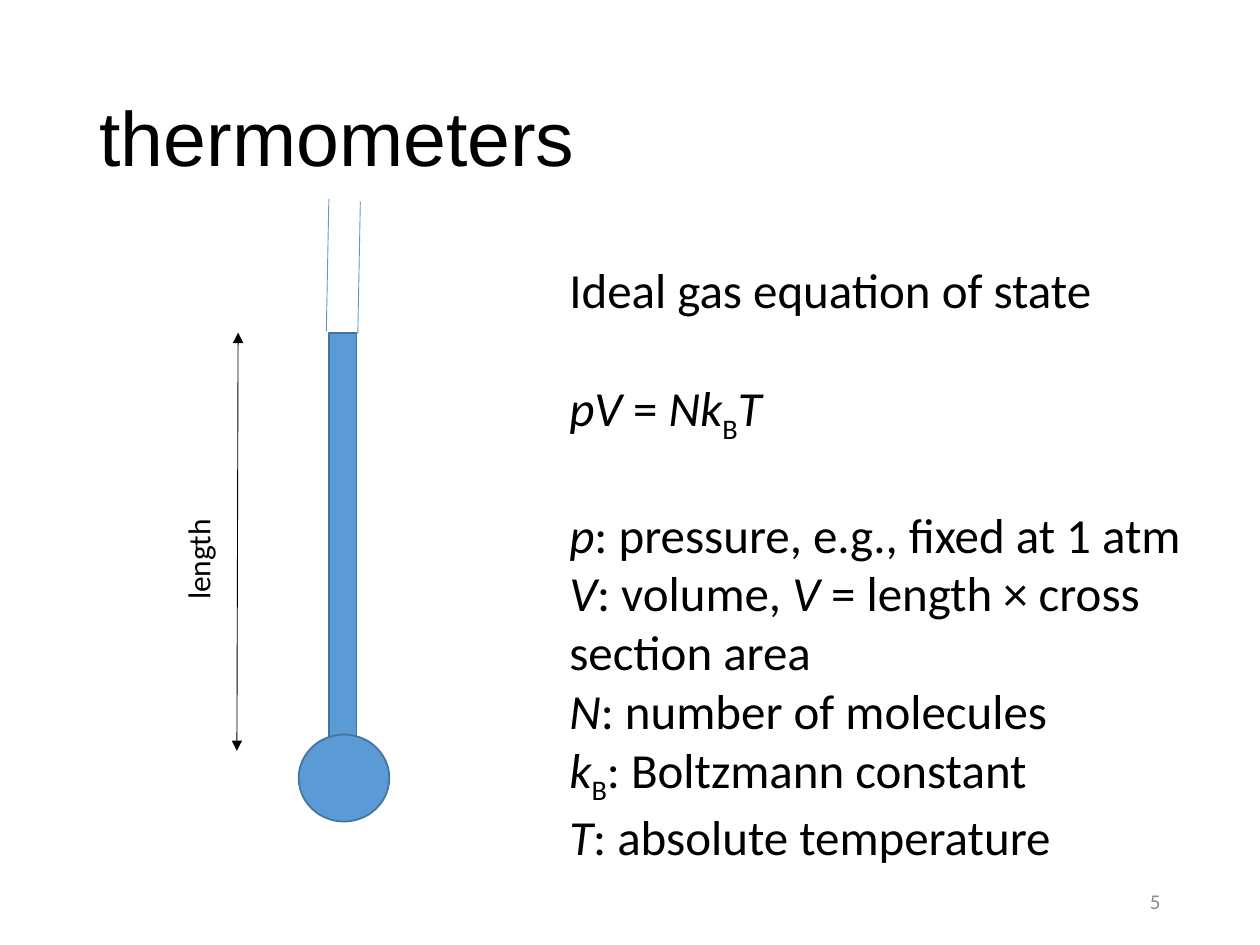
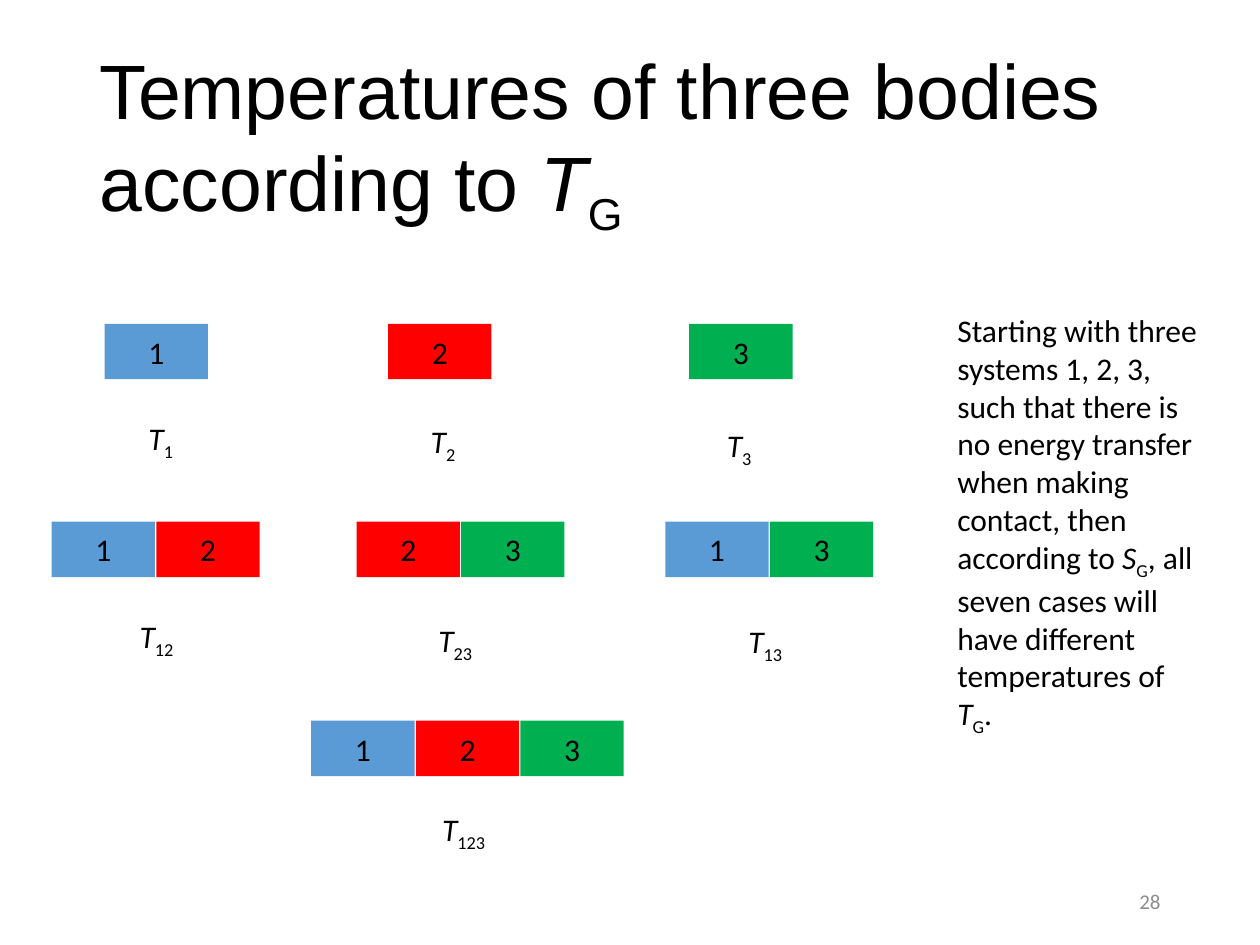
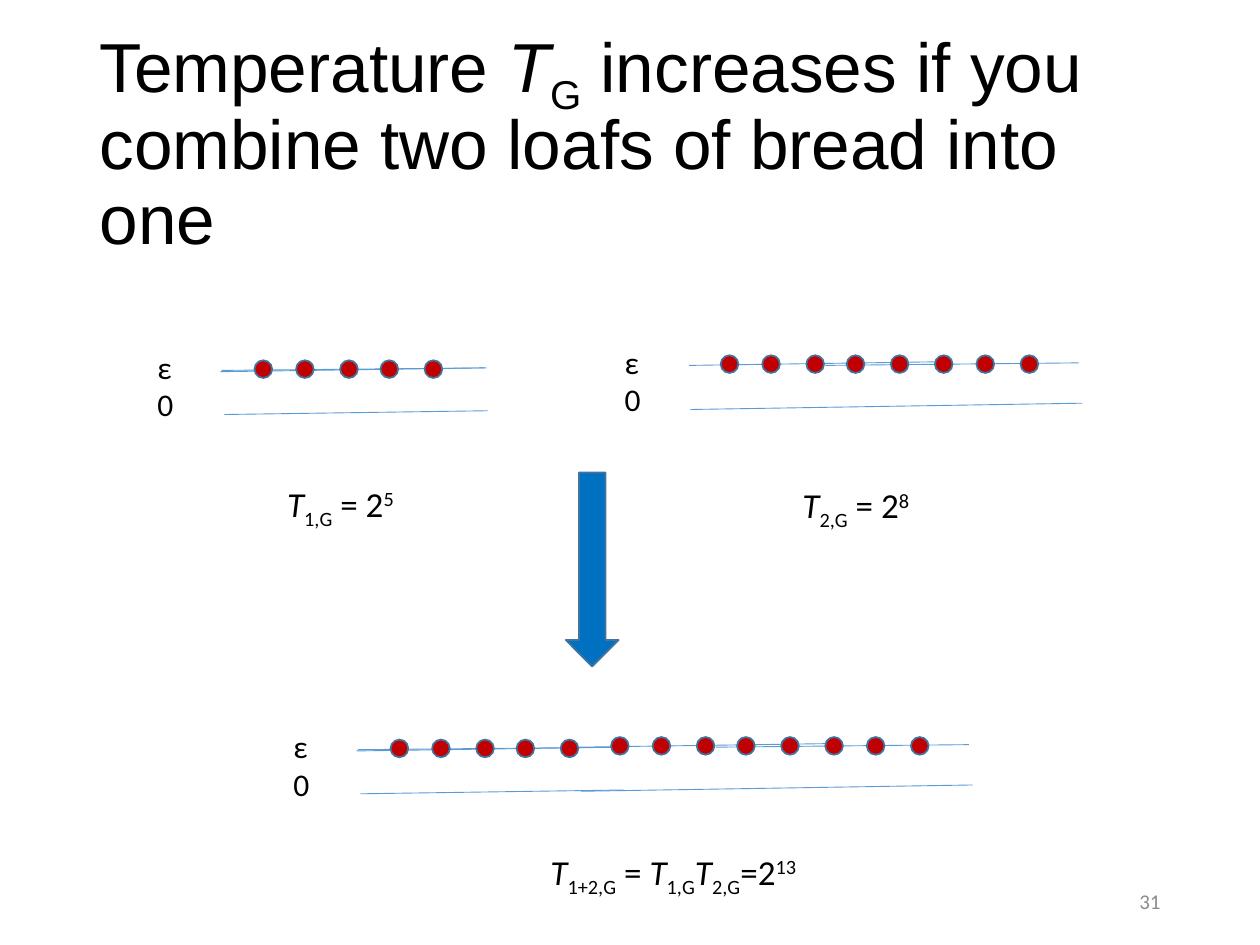
from dataclasses import dataclass

from lxml.etree import SubElement
from pptx import Presentation
from pptx.dml.color import RGBColor
from pptx.enum.shapes import MSO_CONNECTOR, MSO_SHAPE
from pptx.enum.text import MSO_ANCHOR, MSO_AUTO_SIZE, PP_ALIGN
from pptx.oxml.ns import qn
from pptx.util import Pt

PX = 9144  # one hundredth of an inch


@dataclass(frozen=True)
class Theme:
    title_font: str = "Arial"
    body_font: str = "Calibri"
    text: str = "000000"
    muted: str = "8C8C8C"
    blue: str = "5B9BD5"
    outline: str = "43739E"
    red: str = "FF0000"
    green: str = "00B050"
    particle: str = "C00000"
    arrow: str = "0070C0"
    title_size: float = 44
    long_title_size: float = 39.6
    body_size: float = 28
    formula_size: float = 20
    label_size: float = 18
    number_size: float = 12
    blank_line: float = 34


THEME = Theme()
BODY_COLORS = {"1": THEME.blue, "2": THEME.red, "3": THEME.green}
BASELINES = {"~": "-25000", "^": "30000"}

PARTICLE_OFFSETS = [0, 33, 68, 100, 135, 170, 203, 238]
PARTICLE_SIZE = 14
# Level lines of each loaf: x1, y1, x2, y2 from its first particle
SMALL_LOAF = (5, [(-26, 8, 184, 6), (-27, 9, 182, 6), (-24, 43, 185, 40)])
LARGE_LOAF = (8, [(-25, 8, 184, 5), (83, 8, 284, 6), (-24, 43, 287, 38)])


def px(*lengths):
    return [length * PX for length in lengths]


def write(para, markup, size, color=THEME.text, font=THEME.body_font):
    """Fill a paragraph; * toggles italic, ~ subscript and ^ superscript."""
    italic, baseline, span = False, None, None
    for letter in markup:
        if letter == "*":
            italic, span = not italic, None
        elif letter in BASELINES:
            baseline, span = (None if baseline else BASELINES[letter]), None
        else:
            if span is None:
                span = para.add_run()
                span.font.size, span.font.name = Pt(size), font
                span.font.italic = italic
                span.font.color.rgb = RGBColor.from_string(color)
                if baseline:
                    span.font._element.set("baseline", baseline)
            span.text += letter


def add_text(page, frame, lines, size=THEME.label_size, color=THEME.text):
    box = page.shapes.add_textbox(*px(*frame))
    box.text_frame.word_wrap = True
    box.text_frame.auto_size = MSO_AUTO_SIZE.SHAPE_TO_FIT_TEXT
    for index, line in enumerate(lines):
        para = box.text_frame.add_paragraph() if index else box.text_frame.paragraphs[0]
        write(para, line, size, color)
    return box


def add_page(deck, title, number, title_size=THEME.title_size):
    page = deck.slides.add_slide(deck.slide_layouts[5])
    heading = page.shapes.title
    heading.left, heading.top, heading.width, heading.height = px(69, 40, 862, 145)
    heading.text_frame.word_wrap = True
    heading.text_frame.auto_size = MSO_AUTO_SIZE.NONE
    heading.text_frame.vertical_anchor = MSO_ANCHOR.MIDDLE
    para = heading.text_frame.paragraphs[0]
    para.alignment, para.line_spacing = PP_ALIGN.LEFT, 0.9
    write(para, title, title_size, font=THEME.title_font)

    footer = add_text(page, (706, 695, 225, 40), [number], THEME.number_size, THEME.muted)
    footer.text_frame.auto_size = MSO_AUTO_SIZE.NONE
    footer.text_frame.vertical_anchor = MSO_ANCHOR.MIDDLE
    footer.text_frame.paragraphs[0].alignment = PP_ALIGN.RIGHT
    return page


def add_figure(page, kind, frame, fill, outline=THEME.outline):
    figure = page.shapes.add_shape(kind, *px(*frame))
    figure.shadow.inherit = False
    figure.fill.solid()
    figure.fill.fore_color.rgb = RGBColor.from_string(fill)
    if outline:
        figure.line.color.rgb = RGBColor.from_string(outline)
        figure.line.width = Pt(1)
    else:
        figure.line.fill.background()
    return figure


def add_line(page, ends, color=THEME.blue, arrows=False):
    line = page.shapes.add_connector(MSO_CONNECTOR.STRAIGHT, *px(*ends))
    line.line.color.rgb = RGBColor.from_string(color)
    line.line.width = Pt(0.5)
    properties = line._element.spPr
    if arrows:
        for end in ("a:headEnd", "a:tailEnd"):
            SubElement(properties.find(qn("a:ln")), qn(end), type="triangle")
    SubElement(properties, qn("a:effectLst"))


def add_bodies(page, left, top, bodies):
    """Place the numbered bodies side by side, in contact."""
    for index, body in enumerate(bodies):
        frame = (left + 83 * index, top, 82, 44)
        block = add_figure(page, MSO_SHAPE.RECTANGLE, frame, BODY_COLORS[body], None)
        block.text_frame.vertical_anchor = MSO_ANCHOR.MIDDLE
        para = block.text_frame.paragraphs[0]
        para.alignment = PP_ALIGN.CENTER
        write(para, body, THEME.label_size)


def add_loaf(page, left, top, loaf):
    """Draw two energy levels with particles; left, top is the first particle."""
    count, levels = loaf
    for x1, y1, x2, y2 in levels:
        add_line(page, (left + x1, top + y1, left + x2, top + y2))
    for offset in PARTICLE_OFFSETS[:count]:
        frame = (left + offset, top, PARTICLE_SIZE, PARTICLE_SIZE)
        add_figure(page, MSO_SHAPE.OVAL, frame, THEME.particle)


def add_level_labels(page, left, top):
    add_text(page, (left, top, 42, 71), ["ε", "0"])


def build_thermometers(deck):
    page = add_page(deck, "thermometers", "5")
    add_figure(page, MSO_SHAPE.RECTANGLE, (261, 264, 22, 345), THEME.blue)
    add_figure(page, MSO_SHAPE.OVAL, (237, 583, 72, 69), THEME.blue)
    add_line(page, (189, 264, 188, 596), THEME.text, arrows=True)
    add_text(page, (106, 415, 102, 40), ["length"]).rotation = 270
    gas_law = add_text(page, (442, 201, 527, 481), [
        "Ideal gas equation of state",
        "*pV* = *Nk*~B~*T*",
        "*p*: pressure, e.g., fixed at 1 atm",
        "*V*: volume, *V* = length × cross section area",
        "*N*: number of molecules",
        "*k*~B~: Boltzmann constant",
        "*T*: absolute temperature",
    ], THEME.body_size)
    for para in gas_law.text_frame.paragraphs[1:3]:
        para.space_before = Pt(THEME.blank_line)
    for ends in ((259, 263, 261, 158), (284, 265, 286, 160)):
        add_line(page, ends)


def build_three_bodies(deck):
    page = add_page(deck, "Temperatures of three bodies according to *T*~G~", "28")
    # bodies, left and top of the blocks, frame of the temperature
    cases = [
        ("1", 83, 257, (108, 328, 49, 40)),
        ("2", 308, 257, (332, 330, 52, 40)),
        ("3", 547, 257, (567, 333, 43, 40)),
        ("12", 41, 414, (101, 485, 65, 40)),
        ("23", 283, 414, (338, 488, 52, 40)),
        ("13", 528, 414, (584, 489, 58, 40)),
        ("123", 247, 572, (341, 638, 71, 40)),
    ]
    for bodies, left, top, label_frame in cases:
        add_bodies(page, left, top, bodies)
        add_text(page, label_frame, [f"*T*~{bodies}~"])
    add_text(page, (750, 242, 213, 343), [
        "Starting with three systems 1, 2, 3, such that there is no energy transfer "
        "when making contact, then according to *S*~G~, all seven cases will have "
        "different temperatures of *T*~G~."
    ])


def build_combined_loafs(deck):
    title = "Temperature *T*~G~ increases if you combine two loafs of bread into one"
    page = add_page(deck, title, "31", THEME.long_title_size)
    for left, top, loaf in (
        (202, 286, SMALL_LOAF),
        (572, 282, LARGE_LOAF),
        (310, 587, SMALL_LOAF),
        (485, 585, LARGE_LOAF),
    ):
        add_loaf(page, left, top, loaf)
    for left, top in ((115, 271), (486, 267), (223, 572)):
        add_level_labels(page, left, top)
    add_figure(page, MSO_SHAPE.DOWN_ARROW, (449, 375, 42, 154), THEME.arrow)
    for frame, formula in (
        ((218, 378, 111, 44), "*T*~1,G~ = 2^5^"),
        ((627, 379, 111, 44), "*T*~2,G~ = 2^8^"),
        ((427, 670, 281, 44), "*T*~1+2,G~ = *T*~1,G~*T*~2,G~=2^13^"),
    ):
        add_text(page, frame, [formula], THEME.formula_size)


def main():
    deck = Presentation()
    deck.slide_width, deck.slide_height = px(1000, 750)
    build_thermometers(deck)
    build_three_bodies(deck)
    build_combined_loafs(deck)
    deck.save("out.pptx")


if __name__ == "__main__":
    main()
